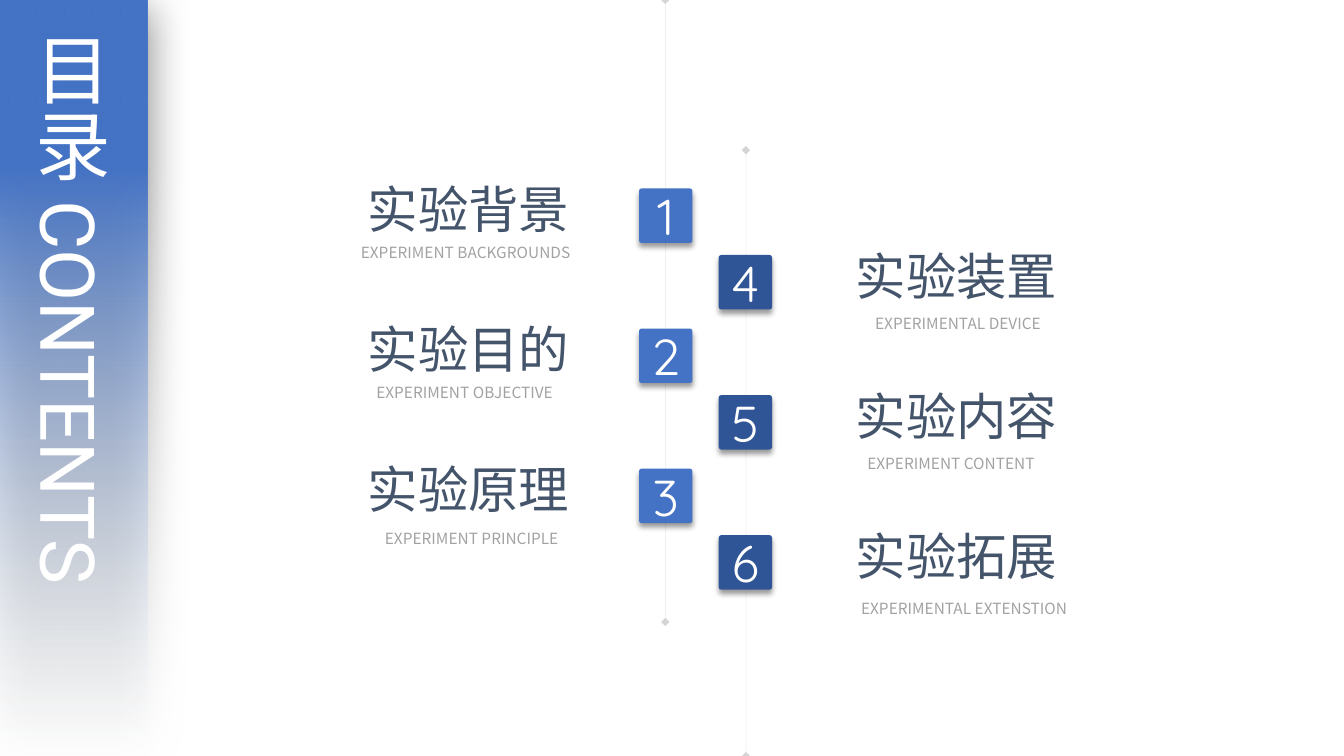
import pptx
import pptx.util
import pptx.dml.color
import pptx.enum.shapes
import pptx.enum.text
import pptx.oxml
import pptx.oxml.ns
from dataclasses import dataclass

qn = pptx.oxml.ns.qn
SHAPE = pptx.enum.shapes.MSO_SHAPE
ALIGN = pptx.enum.text.PP_ALIGN
ANCHOR = pptx.enum.text.MSO_ANCHOR
AUTO = pptx.enum.text.MSO_AUTO_SIZE


@dataclass(frozen=True)
class Theme:
    blue: str = "4472C4"
    navy: str = "2F5597"
    mist: str = "F7FAFD"
    white: str = "FFFFFF"
    slate: str = "44546A"
    gray: str = "A2A2A2"
    axis: str = "808080"
    shade: str = "000000"
    cjk: str = "Noto Sans CJK SC"
    latin: str = "Roboto"
    digits: str = "Quicksand"
    title_pt: int = 54
    heading_pt: int = 36
    caption_pt: int = 11


def grid(*cells):
    """Columns and rows of a grid whose cells are a tenth of an inch."""
    return [pptx.util.Inches(cell / 10) for cell in cells]


def rgb(value):
    return pptx.dml.color.RGBColor.from_string(value)


def sub(parent, tag, **attributes):
    child = parent.makeelement(qn(tag), {k: str(v) for k, v in attributes.items()})
    parent.append(child)
    return child


class ContentsSlide:
    def __init__(self, prs, theme):
        self.theme = theme
        self.slide = prs.slides.add_slide(prs.slide_layouts[5])
        self.shapes = self.slide.shapes

    def style(self, font, size, color, face=None):
        font.size, font.color.rgb = pptx.util.Pt(size), rgb(color)
        if face:
            self.typeface(font, face)

    def typeface(self, font, face):
        font.name = face
        sub(font._element, "a:ea", typeface=face)

    def shadow(self, shape, opacity, blur, distance, angle):
        shape.shadow.inherit = False
        effects = shape._element.spPr.find(qn("a:effectLst"))
        outer = sub(effects, "a:outerShdw", blurRad=pptx.util.Pt(blur),
                    dist=pptx.util.Pt(distance), dir=angle * 60000,
                    algn="ctr", rotWithShape=0)
        color = sub(outer, "a:srgbClr", val=self.theme.shade)
        sub(color, "a:alpha", val=opacity * 1000)

    def axis(self, column, top, bottom):
        x, y1, y2 = grid(column, top, bottom)
        axis = self.shapes.add_connector(
            pptx.enum.shapes.MSO_CONNECTOR.STRAIGHT, x, y1, x, y2)
        axis.line.width = pptx.util.Pt(0.25)
        axis.line.color.rgb = rgb(self.theme.axis)
        line = axis.line._ln
        sub(line.find(".//" + qn("a:srgbClr")), "a:alpha", val=33000)
        sub(line, "a:headEnd", type="diamond")
        sub(line, "a:tailEnd", type="diamond")
        sub(axis._element.spPr, "a:effectLst")

    def banner(self, *cells):
        banner = self.shapes.add_shape(SHAPE.RECTANGLE, *grid(*cells))
        banner.rotation = 90
        banner.line.fill.background()
        banner.fill.gradient()
        banner.fill.gradient_angle = 180
        clear, solid = banner.fill.gradient_stops
        clear.position, clear.color.rgb = 0, rgb(self.theme.mist)
        solid.position, solid.color.rgb = 0.78, rgb(self.theme.blue)
        sub(clear._gs.find(qn("a:srgbClr")), "a:alpha", val=0)
        self.shadow(banner, 50, 31, 6, 97)

    def title(self, parts, *cells):
        title = self.shapes.title
        title.left, title.top, title.width, title.height = grid(*cells)
        # Bring the title in front of the banner
        title._element.getparent().append(title._element)
        frame = title.text_frame
        frame.word_wrap, frame.auto_size = True, AUTO.SHAPE_TO_FIT_TEXT
        frame.vertical_anchor = ANCHOR.TOP
        frame._txBody.bodyPr.set("vert", "eaVert")
        paragraph = frame.paragraphs[0]
        paragraph.alignment = ALIGN.LEFT
        self.style(paragraph.font, self.theme.title_pt, self.theme.white)
        for text, face in parts:
            run = paragraph.add_run()
            run.text = text
            self.typeface(run.font, face)

    def badge(self, number, color, *cells):
        badge = self.shapes.add_shape(SHAPE.ROUNDED_RECTANGLE, *grid(*cells))
        badge.adjustments[0] = 0.05
        badge.fill.solid()
        badge.fill.fore_color.rgb = rgb(color)
        badge.line.fill.background()
        self.shadow(badge, 40, 4, 3, 90)
        badge.text_frame.vertical_anchor = ANCHOR.MIDDLE
        paragraph = badge.text_frame.paragraphs[0]
        paragraph.text, paragraph.alignment = str(number), ALIGN.CENTER
        self.style(paragraph.font, self.theme.heading_pt, self.theme.white,
                   self.theme.digits)

    def label(self, text, size, color, align, *cells):
        frame = self.shapes.add_textbox(*grid(*cells)).text_frame
        frame.word_wrap, frame.auto_size = False, AUTO.SHAPE_TO_FIT_TEXT
        paragraph = frame.paragraphs[0]
        paragraph.text, paragraph.alignment = text, align
        self.style(paragraph.font, size, color, self.theme.cjk)

    def heading(self, text, left, top):
        self.label(text, self.theme.heading_pt, self.theme.slate, ALIGN.LEFT,
                   left, top, 22.2, 7.1)

    def caption(self, text, left, top, width):
        self.label(text, self.theme.caption_pt, self.theme.gray, ALIGN.CENTER,
                   left, top, width, 2.9)


# Each topic: heading, caption, caption left, top and width
BACKGROUND_TOPICS = [
    ("实验背景", "EXPERIMENT BACKGROUNDS", 34.2, 23.6, 24),
    ("实验目的", "EXPERIMENT OBJECTIVE", 36.1, 37.5, 20),
    ("实验原理", "EXPERIMENT PRINCIPLE", 36.9, 52, 19.8),
]
PRACTICE_TOPICS = [
    ("实验装置", "EXPERIMENTAL DEVICE", 85.4, 30.7, 19.3),
    ("实验内容", "EXPERIMENT CONTENT", 84.6, 44.6, 19.5),
    ("实验拓展", "EXPERIMENTAL EXTENSTION", 83.9, 58.9, 23.5),
]
TOPIC_PITCH = 13.9


def main():
    theme = Theme()
    prs = pptx.Presentation()
    prs.slide_width, prs.slide_height = grid(133.33, 75)
    contents = ContentsSlide(prs, theme)

    # Timelines
    contents.axis(74, 14.9, 75)
    contents.axis(66, 0, 61.7)

    # Side banner with the vertical title
    contents.banner(-30, 29.9, 74.6, 14.7)
    contents.title([("目录 ", theme.cjk), ("CONTENTS", theme.latin)],
                   1.4, 2.7, 11.1, 70.5)

    # Topics on both sides of the timelines
    sides = [
        (BACKGROUND_TOPICS, 1, theme.blue, 63.4, 18.7, 35.5),
        (PRACTICE_TOPICS, 4, theme.navy, 71.3, 25.3, 83.9),
    ]
    for topics, first, color, badge_left, badge_top, heading_left in sides:
        for row, (heading, caption, *caption_place) in enumerate(topics):
            top = badge_top + row * TOPIC_PITCH
            contents.badge(first + row, color, badge_left, top, 5.3, 5.4)
            contents.heading(heading, heading_left, top - 1.5)
            contents.caption(caption, *caption_place)

    prs.save("out.pptx")


if __name__ == "__main__":
    main()
